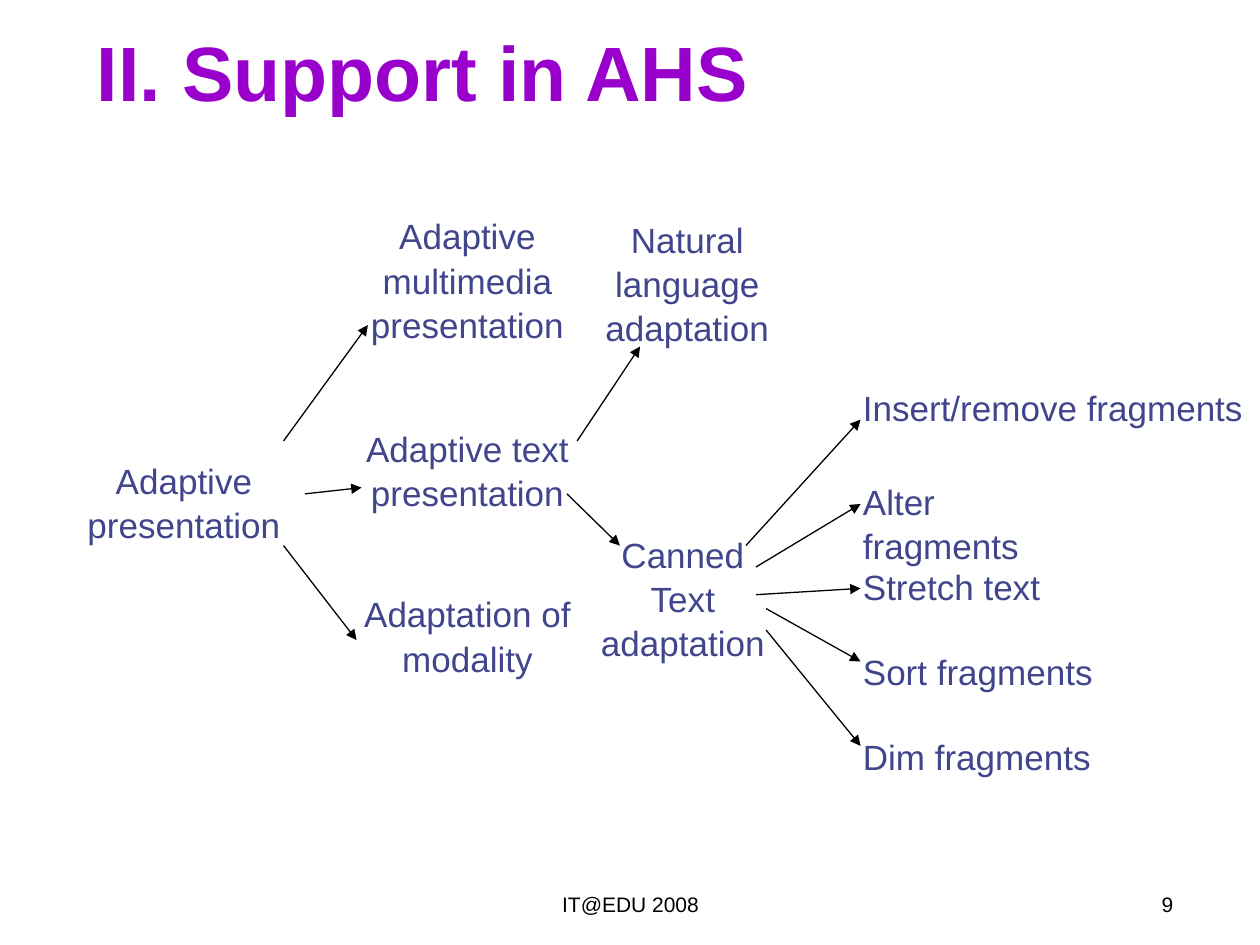
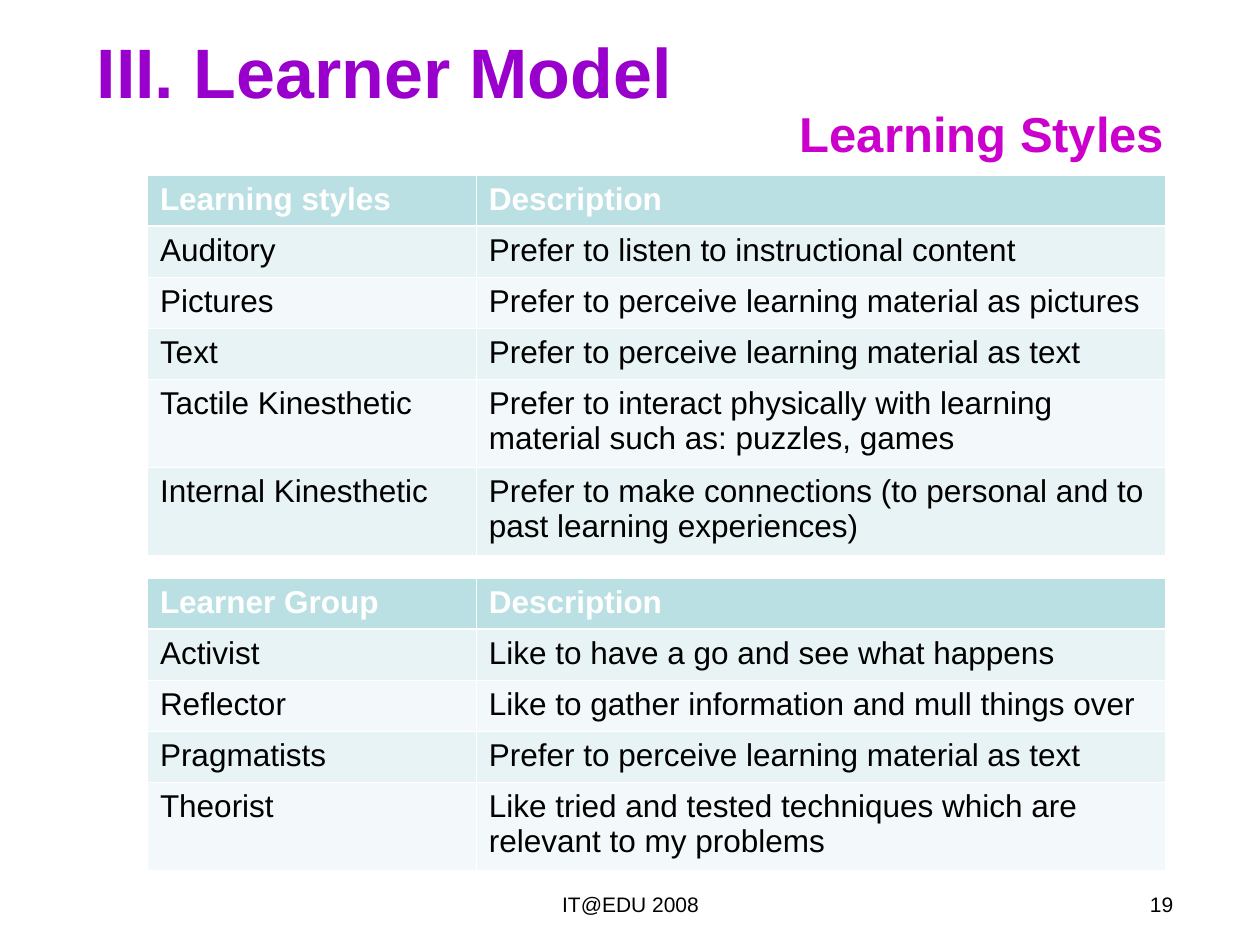
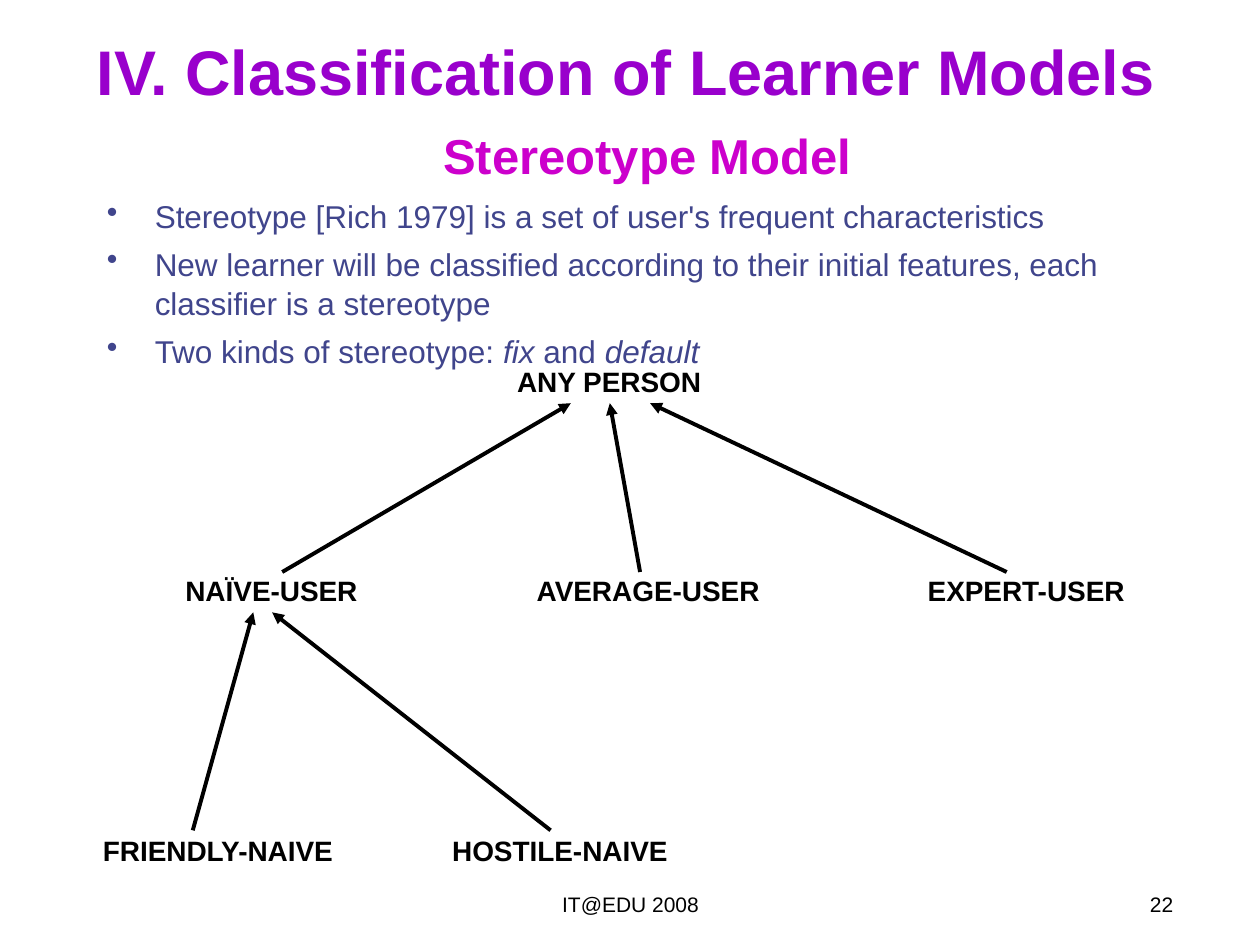
from dataclasses import dataclass

from lxml import etree
from pptx import Presentation
from pptx import util as u
from pptx.dml.color import RGBColor
from pptx.enum import shapes, text
from pptx.oxml.ns import qn

LEFT, CENTER, RIGHT = text.PP_ALIGN.LEFT, text.PP_ALIGN.CENTER, text.PP_ALIGN.RIGHT


@dataclass(frozen=True)
class Theme:
    font: str = "Arial"
    title: str = "9900CC"
    subtitle: str = "CC00CC"
    body: str = "40458C"
    ink: str = "000000"
    paper: str = "FFFFFF"
    header_fill: str = "BBE0E3"
    band_fills: tuple = ("E7F3F4", "F3F9FA")
    subtitle_size: int = 28
    concept_size: int = 20
    body_size: int = 18
    node_size: int = 16
    footer_size: int = 12
    line_spacing: float = 1.05
    thin_border: float = 0.45
    header_border: float = 1.47


THEME = Theme()


def add_run(paragraph, words, size, color, bold=False, italic=False):
    run = paragraph.add_run()
    run.text = words
    font = run.font
    font.name, font.size = THEME.font, u.Pt(size)
    font.bold, font.italic = bold, italic
    font.color.rgb = RGBColor.from_string(color)


def add_frame(slide, box, anchor=text.MSO_ANCHOR.TOP):
    """Add a wrapping text box at (left, top, width, height) in inches."""
    frame = slide.shapes.add_textbox(*map(u.Inches, box)).text_frame
    frame.word_wrap = True
    frame.vertical_anchor = anchor
    return frame


def add_label(slide, words, box, size, color, align=LEFT, bold=False,
              anchor=text.MSO_ANCHOR.TOP):
    paragraph = add_frame(slide, box, anchor).paragraphs[0]
    paragraph.alignment = align
    paragraph.line_spacing = THEME.line_spacing
    add_run(paragraph, words, size, color, bold)


def add_bullets(slide, items, box):
    """Each item is a list of (words, italic) pairs."""
    frame = add_frame(slide, box)
    for index, item in enumerate(items):
        paragraph = frame.add_paragraph() if index else frame.paragraphs[0]
        paragraph.line_spacing = THEME.line_spacing
        paragraph.space_before = u.Pt(4.5)
        properties = paragraph._p.get_or_add_pPr()
        properties.set("marL", str(u.Inches(0.38)))
        properties.set("indent", str(-u.Inches(0.38)))
        etree.SubElement(properties, qn("a:buChar")).set("char", "•")
        for words, italic in item:
            add_run(paragraph, words, THEME.body_size, THEME.body, italic=italic)


def add_arrow(slide, start, end, width):
    arrow = slide.shapes.add_connector(
        shapes.MSO_CONNECTOR.STRAIGHT, *map(u.Inches, (*start, *end)))
    arrow.line.color.rgb = RGBColor.from_string(THEME.ink)
    arrow.line.width = u.Pt(width)
    etree.SubElement(arrow.line._get_or_add_ln(), qn("a:tailEnd")).set("type", "triangle")
    etree.SubElement(arrow._element.spPr, qn("a:effectLst"))


def add_border(cell, side, width):
    line = etree.SubElement(cell._tc.get_or_add_tcPr(), qn(f"a:ln{side}"))
    line.set("w", str(u.Pt(width)))
    fill = etree.SubElement(line, qn("a:solidFill"))
    etree.SubElement(fill, qn("a:srgbClr")).set("val", THEME.paper)


def style_cell(cell, words, row):
    is_header = row == 0
    thick_side = {0: "B", 1: "T"}.get(row)
    for side in "LRTB":
        add_border(cell, side,
                   THEME.header_border if side == thick_side else THEME.thin_border)
    cell.fill.solid()
    cell.fill.fore_color.rgb = RGBColor.from_string(
        THEME.header_fill if is_header else THEME.band_fills[(row - 1) % 2])
    add_run(cell.text_frame.paragraphs[0], words, THEME.body_size,
            THEME.paper if is_header else THEME.ink, bold=is_header)


def add_description_table(slide, top, rows, two_line_rows):
    """Rows are (name, description); the last two_line_rows of them are taller."""
    one_line, two_lines = u.Inches(0.81) // 2, u.Inches(0.7)
    heights = [one_line] * (len(rows) - two_line_rows) + [two_lines] * two_line_rows
    widths = u.Inches(2.61), u.Inches(5.47)
    table = slide.shapes.add_table(
        len(rows), len(widths), u.Inches(1.17), u.Inches(top),
        sum(widths), sum(heights)).table
    table.horz_banding = False
    for column, width in zip(table.columns, widths):
        column.width = width
    for index, (entries, height) in enumerate(zip(rows, heights)):
        table.rows[index].height = height
        for column, words in enumerate(entries):
            style_cell(table.cell(index, column), words, index)


def add_slide(deck, title, title_size, number):
    """Add a blank slide with the shared title, footer and slide number."""
    slide = deck.slides.add_slide(deck.slide_layouts[6])
    add_label(slide, "IT@EDU 2008", (3.42, 7.02, 3.17, 0.52),
              THEME.footer_size, THEME.ink, CENTER)
    add_label(slide, str(number), (7.08, 7.02, 2.33, 0.52),
              THEME.footer_size, THEME.ink, RIGHT)
    add_label(slide, title, (0.67, 0.08, 8.92, 0.92), title_size, THEME.title,
              bold=True, anchor=text.MSO_ANCHOR.MIDDLE)
    return slide


def add_subtitle(slide, words, box):
    add_label(slide, words, box, THEME.subtitle_size, THEME.subtitle, bold=True)


def build_support(deck):
    slide = add_slide(deck, "II. Support in AHS", 44, 9)
    concepts = [
        ("Adaptive presentation", (0.5, 3.58, 1.92, 0.77)),
        ("Adaptive multimedia presentation", (2.75, 1.64, 1.92, 1.1)),
        ("Adaptive text presentation", (2.75, 3.33, 1.92, 0.77)),
        ("Adaptation of modality", (2.75, 4.64, 1.92, 0.77)),
        ("Natural language adaptation", (4.57, 1.67, 1.77, 1.1)),
        ("Canned Text adaptation", (4.67, 4.17, 1.5, 1.1)),
    ]
    for words, box in concepts:
        add_label(slide, words, box, THEME.concept_size, THEME.body, CENTER)

    techniques = [
        ("Insert/remove fragments", 3, 3.25, 0.44),
        ("Alter fragments", 3.75, 2.05, 0.77),
        ("Stretch text", 4.42, 1.75, 0.44),
        ("Sort fragments", 5.1, 2.08, 0.44),
        ("Dim fragments", 5.77, 2.17, 0.44),
    ]
    for words, top, width, height in techniques:
        add_label(slide, words, (6.75, top, width, height),
                  THEME.concept_size, THEME.body)

    branches = [
        ((2.25, 3.5), (2.92, 2.58)),
        ((2.42, 3.92), (2.87, 3.87)),
        ((2.25, 4.33), (2.83, 5.08)),
        ((4.58, 3.5), (5.08, 2.75)),
        ((4.5, 3.92), (4.92, 4.33)),
        ((5.92, 4.33), (6.83, 3.33)),
        ((6, 4.5), (6.83, 4)),
        ((6, 4.72), (6.83, 4.67)),
        ((6.08, 4.83), (6.83, 5.25)),
        ((6.08, 5), (6.83, 5.92)),
    ]
    for start, end in branches:
        add_arrow(slide, start, end, 0.75)


def build_learner_model(deck):
    slide = add_slide(deck, "III. Learner Model", 40, 19)
    add_subtitle(slide, "Learning Styles", (6.25, 0.75, 3.17, 0.57))
    add_description_table(slide, 1.39, [
        ("Learning styles", "Description"),
        ("Auditory", "Prefer to listen to instructional content"),
        ("Pictures", "Prefer to perceive learning material as pictures"),
        ("Text", "Prefer to perceive learning material as text"),
        ("Tactile Kinesthetic",
         "Prefer to interact physically with learning material such as: puzzles, games"),
        ("Internal Kinesthetic",
         "Prefer to make connections (to personal and to past learning experiences)"),
    ], two_line_rows=2)
    add_description_table(slide, 4.59, [
        ("Learner Group", "Description"),
        ("Activist", "Like to have a go and see what happens"),
        ("Reflector", "Like to gather information and mull things over"),
        ("Pragmatists", "Prefer to perceive learning material as text"),
        ("Theorist", "Like tried and tested techniques which are relevant to my problems"),
    ], two_line_rows=1)


def build_classification(deck):
    slide = add_slide(deck, "IV. Classification of Learner Models", 36, 22)
    add_subtitle(slide, "Stereotype Model", (3.42, 0.92, 3.58, 0.57))
    add_bullets(slide, [
        [("Stereotype [Rich 1979] is a set of user's frequent characteristics", False)],
        [("New learner will be classified according to their initial features, "
          "each classifier is a stereotype", False)],
        [("Two kinds of stereotype: ", False), ("fix", True),
         (" and ", False), ("default", True)],
    ], (0.75, 1.5, 8.71, 1.5))

    stereotypes = [
        ("ANY PERSON", 3.82, 2.83, 2.03),
        ("NAÏVE-USER", 1.14, 4.49, 2.03),
        ("AVERAGE-USER", 4.13, 4.49, 2.03),
        ("EXPERT-USER", 7.13, 4.49, 2.03),
        ("FRIENDLY-NAIVE", 0.59, 6.55, 2.28),
        ("HOSTILE-NAIVE", 3.43, 6.55, 2.03),
    ]
    for words, left, top, width in stereotypes:
        add_label(slide, words, (left, top, width, 0.37),
                  THEME.node_size, THEME.ink, CENTER, bold=True)

    # Child bottom, parent top, then the (child x, parent x) pairs of that level.
    levels = [
        (4.54, 3.2, [(2.24, 4.53), (5.08, 4.84), (7.99, 5.16)]),
        (6.59, 4.86, [(1.53, 2.01), (4.37, 2.16)]),
    ]
    for child_y, parent_y, links in levels:
        for child_x, parent_x in links:
            add_arrow(slide, (child_x, child_y), (parent_x, parent_y), 2.25)


def main():
    deck = Presentation()
    deck.slide_width, deck.slide_height = u.Inches(10), u.Inches(7.5)
    build_support(deck)
    build_learner_model(deck)
    build_classification(deck)
    deck.save("out.pptx")


if __name__ == "__main__":
    main()
